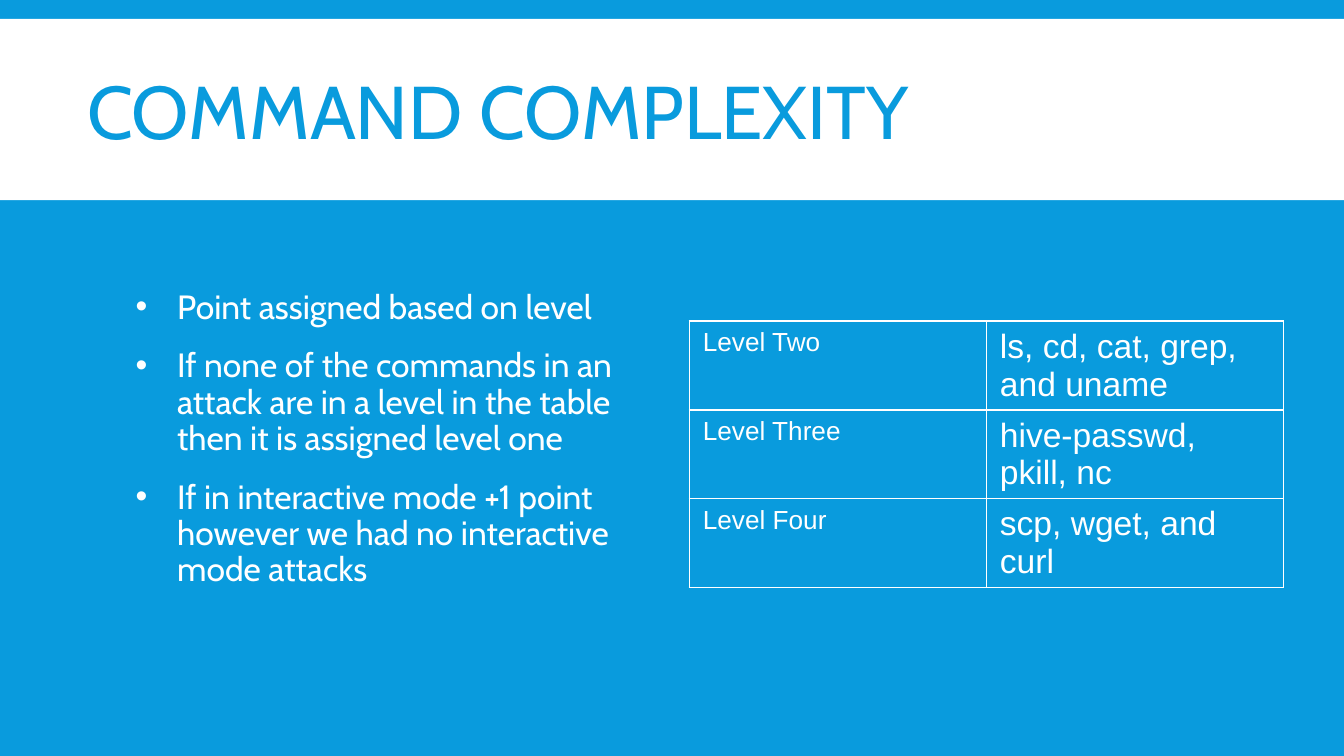
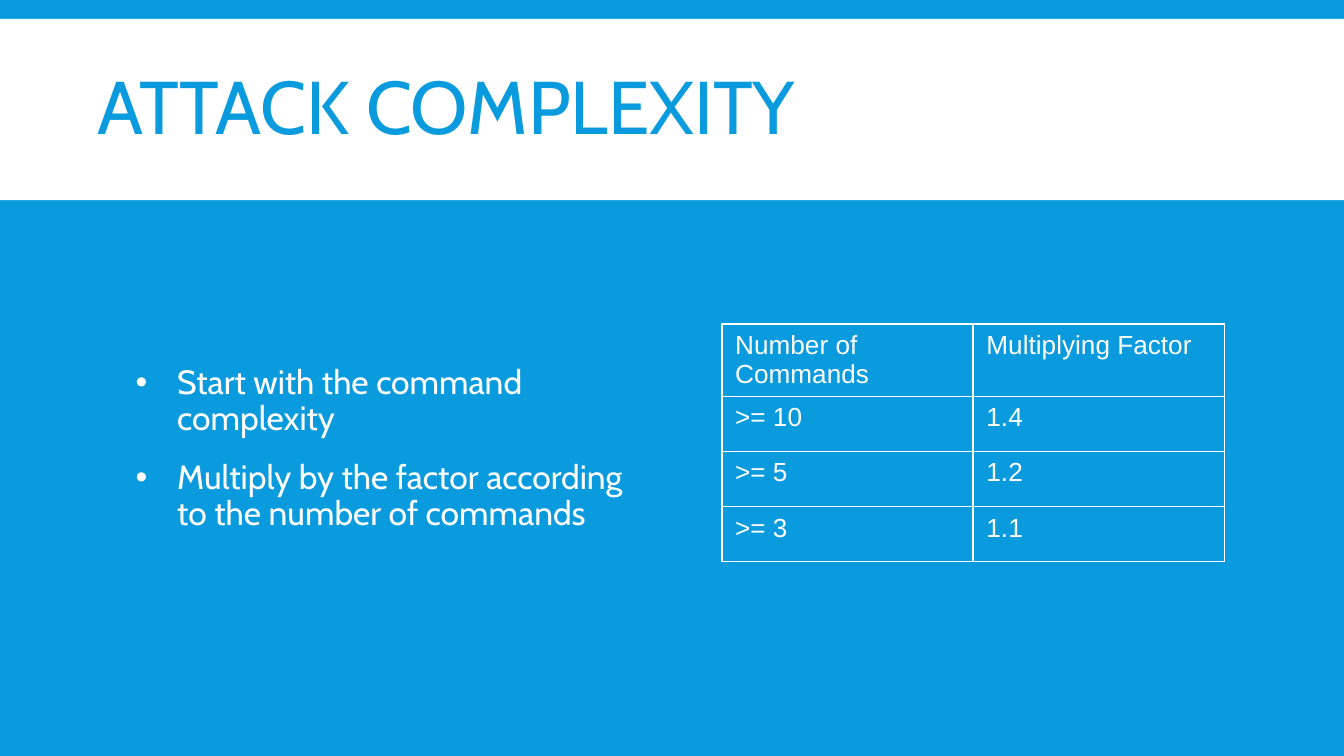
from dataclasses import dataclass

from lxml.etree import SubElement
from pptx import Presentation
from pptx.dml.color import RGBColor
from pptx.enum.shapes import MSO_SHAPE as Shape
from pptx.enum.text import MSO_ANCHOR as Anchor
from pptx.oxml import parse_xml
from pptx.oxml.ns import nsdecls, qn
from pptx.slide import Slide
from pptx.table import _Cell as Cell
from pptx.text.text import _Paragraph as Paragraph
from pptx.util import Inches, Pt

COLORS = {"blue": "099BDD", "white": "FFFFFF"}
HEADING_FONT = "Cabin"
TABLE_FONT = "Arial"


@dataclass(frozen=True)
class Box:
    left: float
    top: float
    width: float
    height: float

    def lengths(self) -> tuple[Inches, ...]:
        return tuple(Inches(v) for v in (self.left, self.top, self.width, self.height))


@dataclass(frozen=True)
class Grid:
    box: Box
    row_heights: tuple[float, ...]
    column_sizes: tuple[int, ...]
    rows: tuple[tuple[str, ...], ...]


@dataclass(frozen=True)
class Topic:
    title: str
    title_box: Box
    points: tuple[str, ...]
    points_box: Box
    grid: Grid


BAND = Box(0, 0.14, 10, 1.35)

TOPICS = (
    Topic(
        "COMMAND COMPLEXITY",
        Box(0.55, 0.25, 8.03, 1.24),
        (
            "Point assigned based on level",
            "If none of the commands in an attack are in a level in the table "
            "then it is assigned level one",
            "If in interactive mode +1 point however we had no interactive mode attacks",
        ),
        Box(0.73, 2.11, 3.94, 2.51),
        Grid(
            Box(5.13, 2.39, 4.42, 1.98),
            (0.66,) * 3,
            (14, 18),
            (
                ("Level Two", "ls, cd, cat, grep, and uname"),
                ("Level Three", "hive-passwd, pkill, nc"),
                ("Level Four", "scp, wget, and curl"),
            ),
        ),
    ),
    Topic(
        "ATTACK COMPLEXITY",
        Box(0.63, 0.21, 8.03, 1.24),
        (
            "Start with the command complexity",
            "Multiply by the factor according to the number of commands",
        ),
        Box(0.73, 2.67, 4.09, 1.78),
        Grid(
            Box(5.37, 2.41, 3.74, 1.77),
            (0.54,) + (0.41,) * 3,
            (14, 14),
            (
                ("Number of Commands", "Multiplying Factor"),
                (">= 10", "1.4"),
                (">= 5", "1.2"),
                (">= 3", "1.1"),
            ),
        ),
    ),
)


def rgb(color: str) -> RGBColor:
    return RGBColor.from_string(COLORS[color])


def format_runs(paragraph: Paragraph, font: str, size: int, color: str) -> None:
    for run in paragraph.runs:
        run.font.name = font
        run.font.size = Pt(size)
        run.font.color.rgb = rgb(color)


def add_bullet(paragraph: Paragraph) -> None:
    properties = paragraph._p.get_or_add_pPr()
    properties.set("marL", str(Inches(0.49)))
    properties.set("indent", str(Inches(-0.31)))
    bullet_color = SubElement(properties, qn("a:buClr"))
    SubElement(bullet_color, qn("a:srgbClr")).set("val", COLORS["white"])
    SubElement(properties, qn("a:buFont")).set("typeface", TABLE_FONT)
    SubElement(properties, qn("a:buChar")).set("char", "•")


def add_band(slide: Slide) -> None:
    band = slide.shapes.add_shape(Shape.RECTANGLE, *BAND.lengths())
    band.shadow.inherit = False
    band.fill.solid()
    band.fill.fore_color.rgb = rgb("white")
    band.line.fill.background()


def add_title(slide: Slide, title: str, box: Box) -> None:
    frame = slide.shapes.add_textbox(*box.lengths()).text_frame
    frame.word_wrap = True
    frame.vertical_anchor = Anchor.MIDDLE
    frame.text = title
    heading = frame.paragraphs[0]
    heading.line_spacing = 0.85
    format_runs(heading, HEADING_FONT, 40, "blue")


def add_points(slide: Slide, points: tuple[str, ...], box: Box) -> None:
    frame = slide.shapes.add_textbox(*box.lengths()).text_frame
    frame.word_wrap = True
    frame.text = "\n".join(points)
    for point in frame.paragraphs:
        point.line_spacing = 0.9
        point.space_after = Pt(12)
        add_bullet(point)
        format_runs(point, HEADING_FONT, 18, "white")


def outline_cell(cell: Cell) -> None:
    """Give the cell no fill and a thin white line on every side."""
    cell.fill.background()
    properties = cell._tc.get_or_add_tcPr()
    for position, side in enumerate(("lnL", "lnR", "lnT", "lnB")):
        border = parse_xml(
            f'<a:{side} {nsdecls("a")} w="{Pt(1)}"><a:solidFill>'
            f'<a:srgbClr val="{COLORS["white"]}"/></a:solidFill></a:{side}>'
        )
        properties.insert(position, border)


def add_grid(slide: Slide, grid: Grid) -> None:
    column_count = len(grid.column_sizes)
    table = slide.shapes.add_table(
        len(grid.rows), column_count, *grid.box.lengths()
    ).table
    table.first_row = False
    table.horz_banding = False
    for column in table.columns:
        column.width = Inches(grid.box.width / column_count)
    for row, height, texts in zip(table.rows, grid.row_heights, grid.rows):
        row.height = Inches(height)
        for cell, text, size in zip(row.cells, texts, grid.column_sizes):
            cell.text_frame.text = text
            cell.margin_bottom = Inches(0.01)
            format_runs(cell.text_frame.paragraphs[0], TABLE_FONT, size, "white")
            outline_cell(cell)


def main() -> None:
    deck = Presentation()
    deck.slide_width = Inches(10)
    deck.slide_height = Inches(10 * 9 / 16)
    blank = deck.slide_layouts[6]
    for topic in TOPICS:
        slide = deck.slides.add_slide(blank)
        slide.background.fill.solid()
        slide.background.fill.fore_color.rgb = rgb("blue")
        add_band(slide)
        add_title(slide, topic.title, topic.title_box)
        add_points(slide, topic.points, topic.points_box)
        add_grid(slide, topic.grid)
    deck.save("out.pptx")


if __name__ == "__main__":
    main()
